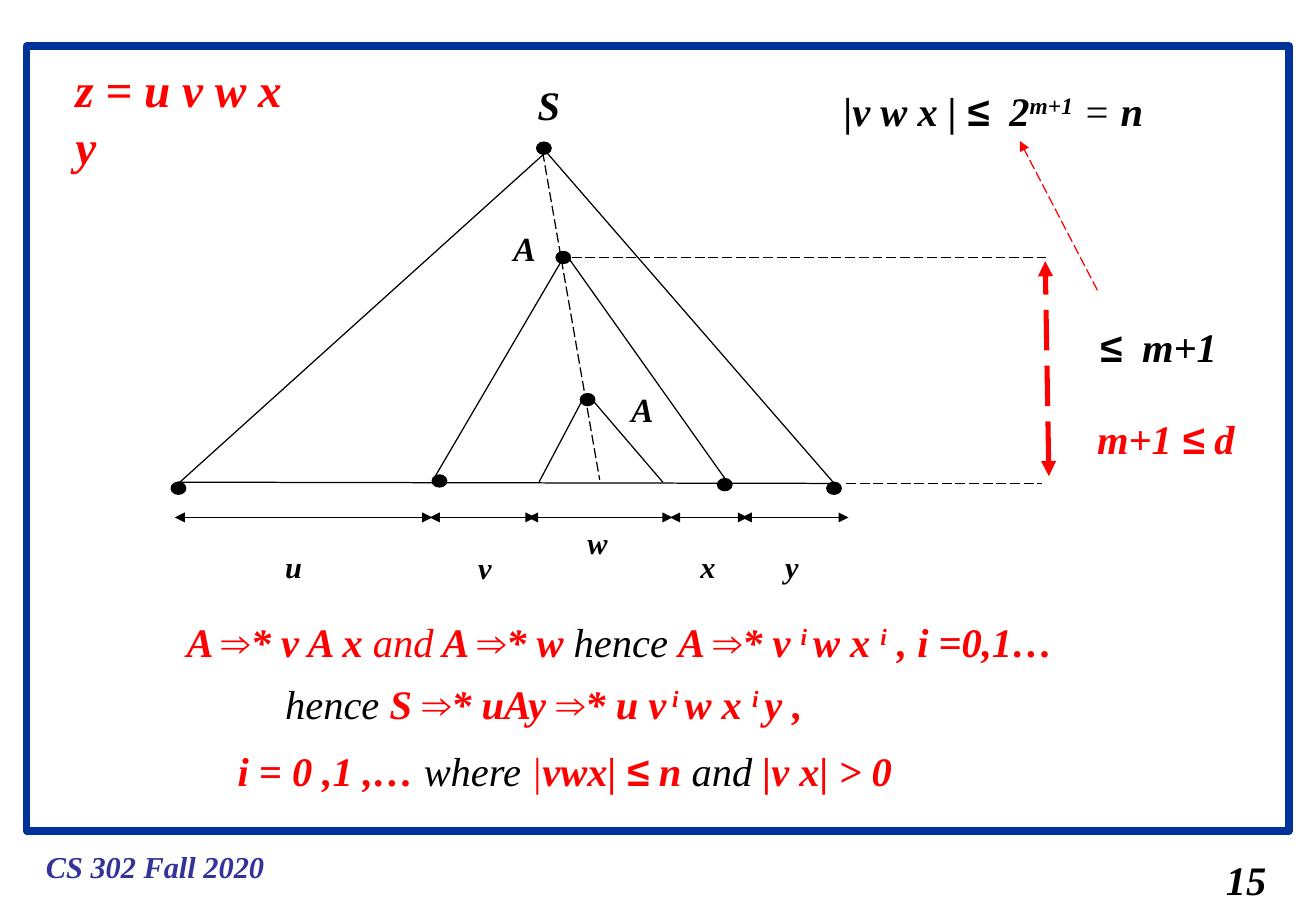
from collections import namedtuple
from itertools import groupby

from lxml import etree
from pptx import Presentation, util as u
from pptx.dml.color import RGBColor
from pptx.enum import dml, shapes, text
from pptx.oxml import ns

CELL = u.Inches(0.1)
BLACK, RED, NAVY, INDIGO = "000000", "FF0000", "003399", "333399"
SYMBOLS = "≤⇒"

Box = namedtuple("Box", "left top width height")


def cells(count):
    return round(count * CELL)


def colour(value):
    return RGBColor.from_string(value)


def inside(box, left, top, width, height):
    return Box(box.left + left, box.top + top, width, height)


def place(shape, box):
    shape.left, shape.top, shape.width, shape.height = map(cells, box)


def add_span(para, words, size=24, ink=BLACK, bold=True, raised=False):
    for symbol, letters in groupby(words, lambda letter: letter in SYMBOLS):
        span = para.add_run()
        span.text = "".join(letters)
        span.font.name = "Arial" if symbol else "Times New Roman"
        span.font.size = u.Pt(size)
        span.font.bold = bold
        span.font.italic = True
        span.font.color.rgb = colour(ink)
        if raised:
            span._r.get_or_add_rPr().set("baseline", "30000")


def fill_frame(frame, spans, wrap=False, **look):
    frame.word_wrap = wrap
    frame.auto_size = text.MSO_AUTO_SIZE.SHAPE_TO_FIT_TEXT
    frame.vertical_anchor = text.MSO_ANCHOR.TOP
    para = frame.paragraphs[0]
    para.alignment = text.PP_ALIGN.LEFT
    para.line_spacing = 1
    para.space_before = u.Pt(0)
    for words, changes in spans:
        add_span(para, words, **{**look, **changes})


def add_text(page, box, spans, **look):
    if isinstance(spans, str):
        spans = [(spans, {})]
    shape = page.shapes.add_textbox(*map(cells, box))
    fill_frame(shape.text_frame, spans, **look)


def add_line(page, box, start, end, ink=BLACK, weight=0.75, dashed=False, arrows=()):
    ends = [cells(base + step) for point in (start, end)
            for base, step in zip((box.left, box.top), point)]
    line = page.shapes.add_connector(shapes.MSO_CONNECTOR.STRAIGHT, *ends)
    line.line.color.rgb = colour(ink)
    line.line.width = u.Pt(weight)
    if dashed:
        line.line.dash_style = dml.MSO_LINE.LONG_DASH
    for arrow in arrows:
        etree.SubElement(line.line._get_or_add_ln(), ns.qn(f"a:{arrow}End"), type="triangle")
    etree.SubElement(line._element.spPr, ns.qn("a:effectLst"))


def add_dot(page, box, centre):
    x, y = centre
    dot = page.shapes.add_shape(shapes.MSO_SHAPE.OVAL,
                                *map(cells, inside(box, x - 0.6, y - 0.5, 1.2, 1)))
    dot.shadow.inherit = False
    dot.fill.solid()
    dot.fill.fore_color.rgb = colour(BLACK)
    dot.line.color.rgb = colour(BLACK)
    dot.line.width = u.Pt(0.75)


def draw_frame(page, box):
    border = page.shapes.add_shape(shapes.MSO_SHAPE.RECTANGLE, *map(cells, box))
    border.shadow.inherit = False
    border.fill.background()
    border.line.color.rgb = colour(NAVY)
    border.line.width = u.Pt(4.5)


def draw_title(page, box):
    title = page.shapes.title
    place(title, box)
    fill_frame(title.text_frame, [("z = u v w x y", {})], size=28, ink=RED)


def draw_footer(page, box):
    add_text(page, inside(box, 0, 0, 20, 4), "CS 302 Fall 2020", size=18, ink=INDIGO)
    add_text(page, inside(box, 97.2, 0.6, 5.3, 5), "15")


def draw_tree(page, box):
    edges = [
        ((31, 6.5), (0.7, 33.8)),
        ((30.9, 6.4), (54.8, 33.9)),
        ((0.6, 33.7), (54.8, 33.8)),
        ((32.3, 15.4), (21.8, 33.3)),
        ((32.8, 15.2), (46, 33.8)),
        ((34.1, 26.7), (30.4, 33.7)),
        ((34.6, 26.7), (40.6, 33.7)),
    ]
    for start, end in edges:
        add_line(page, box, start, end)
    add_line(page, box, (30.7, 6.5), (35.4, 33.5), dashed=True)
    for centre in [(30.8, 6.2), (32.4, 15.2), (34.4, 26.9), (0.7, 34.2),
                   (22.2, 33.6), (45.7, 33.9), (54.7, 34.2)]:
        add_dot(page, box, centre)
    for name, size, left, top in [("S", 24, 29.3, 0.1), ("A", 20, 27.3, 12.3),
                                  ("A", 20, 37, 25.5)]:
        add_text(page, inside(box, left, top, 3.8, 5), name, size=size)


def draw_yield(page, box):
    parts = [
        ("u", 0.4, 21.6, 8.5, 2),
        ("v", 21.4, 30.1, 10.4 + 14, 2.1),
        ("w", 29.5, 41.4, 33.4, 0.1),
        ("x", 41.2, 47.6, 42.7, 2),
        ("y", 47.1, 55.9, 49.7, 2),
    ]
    for name, start, end, left, top in parts:
        add_line(page, box, (start, 0), (end, 0), arrows=("head", "tail"))
        add_text(page, inside(box, left, top, 3.3, 4), name, size=18)


def draw_height(page, box):
    add_line(page, box, (0, 0), (39.3, 0), dashed=True)
    add_line(page, box, (22.6, 18.6), (38.7, 18.6), dashed=True)
    add_line(page, box, (39.3, 18), (39, 0.3), ink=RED, weight=3, dashed=True,
             arrows=("head", "tail"))
    add_line(page, box, (43.3, 2.7), (36.9, -9.6), ink=RED, dashed=True, arrows=("tail",))
    add_text(page, inside(box, 42.5, 4.8, 12.5, 5), "≤  m+1")
    add_text(page, inside(box, 42.3, 12.4, 15, 5), "m+1 ≤ d", ink=RED)


def draw_bound(page, box):
    add_text(page, box, [("|v w x | ≤  2", {}), ("m+1", {"raised": True}),
                         (" = ", {"bold": False}), ("n", {})], wrap=True)


def draw_conclusion(page, box):
    up = {"raised": True}
    thin = {"bold": False}
    aside = {"ink": BLACK, "bold": False}
    rows = [
        (0, 0, 81, [("A ⇒* v A x ", {}), ("and", thin), (" A ⇒* w ", {}), ("hence ", aside),
                    ("A ⇒* v ", {}), ("i ", up), ("w x ", {}), ("i", up),
                    (" , i =0,1…", {})]),
        (8.1, 5.1, 48.9, [("hence ", aside), ("S ⇒* uAy ⇒* u v", {}), (" i ", up),
                          ("w x ", {}), ("i ", up), ("y ,", {})]),
        (4.2, 10.6, 69.3, [("i = 0 ,1 ,… ", {}), ("where ", aside), ("|", thin),
                           ("vwx| ≤ n ", {}), ("and ", aside), ("|v x| > 0", {})]),
    ]
    for left, top, width, spans in rows:
        add_text(page, inside(box, left, top, width, 5), spans, ink=RED, wrap=True)


def main():
    deck = Presentation()
    deck.slide_width, deck.slide_height = u.Inches(10.84), u.Inches(7.5)
    page = deck.slides.add_slide(deck.slide_layouts[5])
    draw_frame(page, Box(2.2, 3.8, 104, 64.6))
    draw_title(page, Box(5.2, 4.5, 20.9, 5.7))
    draw_footer(page, Box(2.8, 69.3, 102.5, 5.6))
    draw_bound(page, Box(68.5, 6.6, 30.9, 5))
    draw_tree(page, Box(14, 6, 56, 35))
    draw_yield(page, Box(14, 42.6, 56, 6))
    draw_height(page, Box(47.1, 21.2, 57, 19))
    draw_conclusion(page, Box(14.4, 50.3, 81, 16))
    deck.save("out.pptx")


if __name__ == "__main__":
    main()
